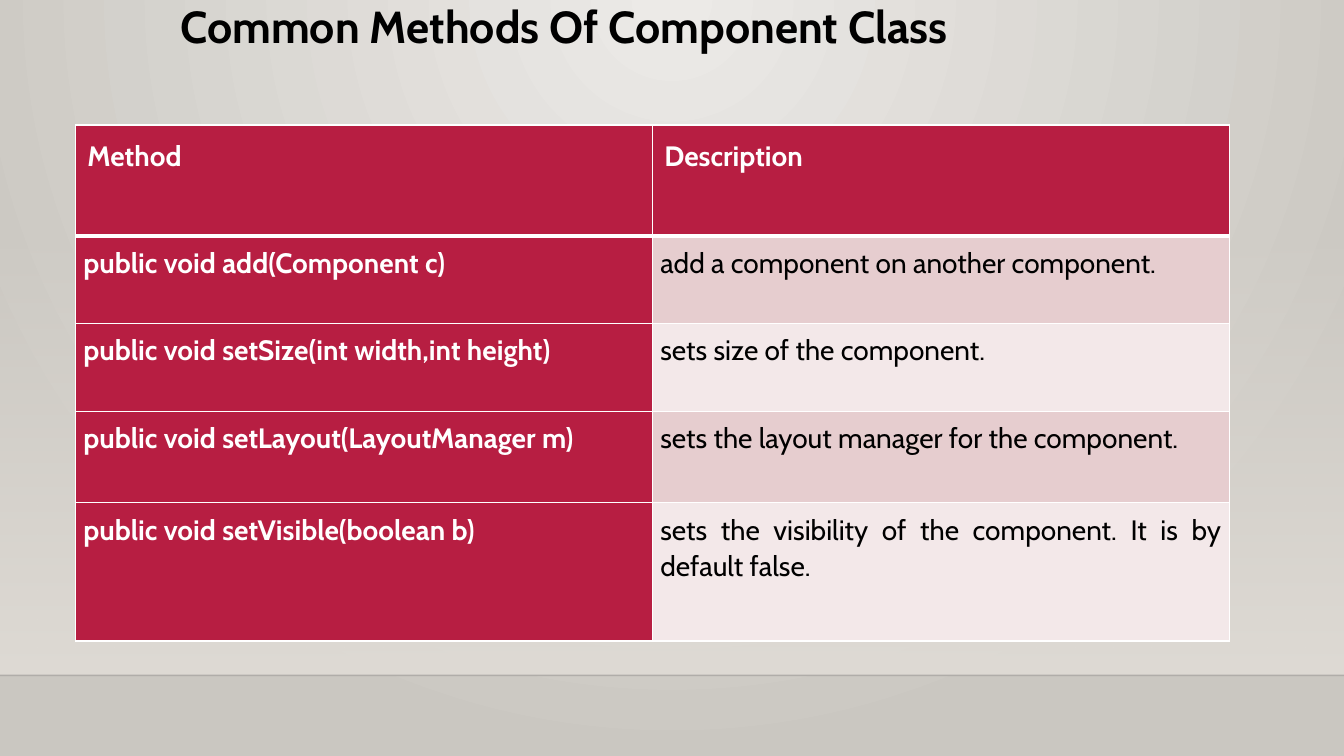
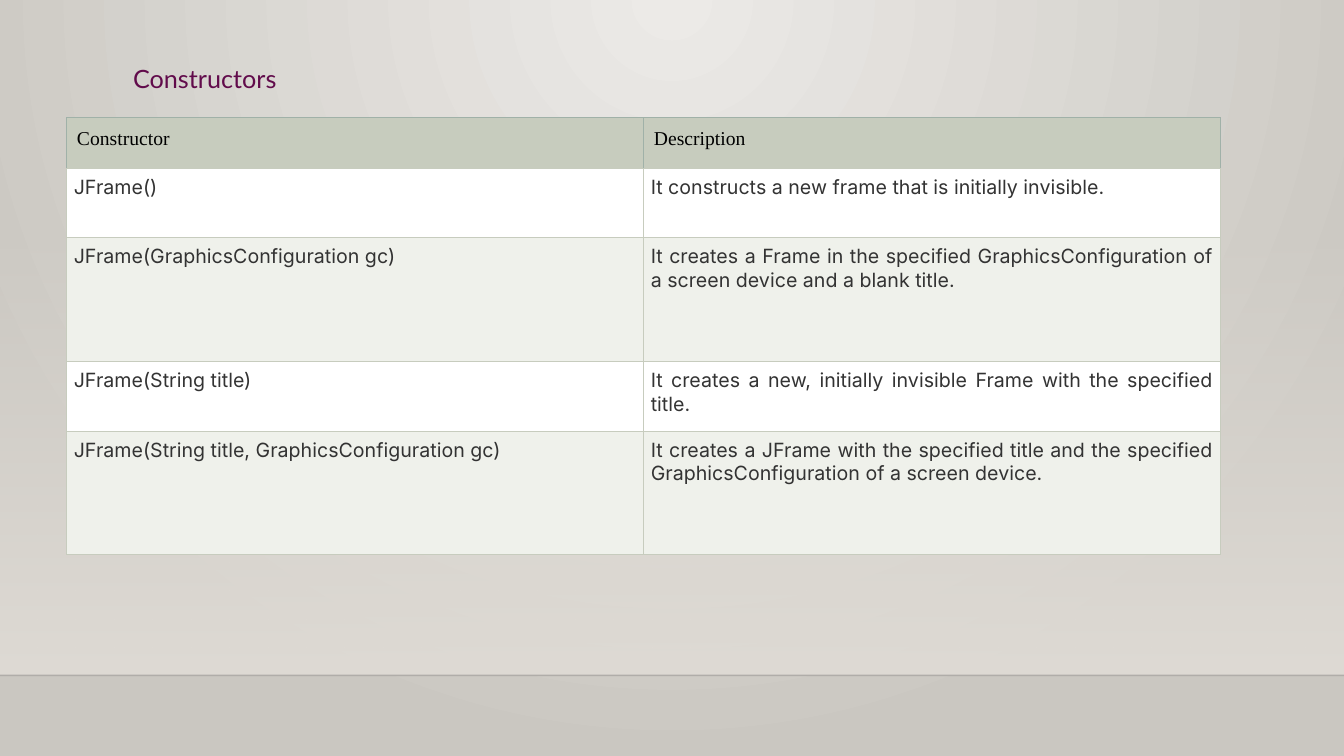
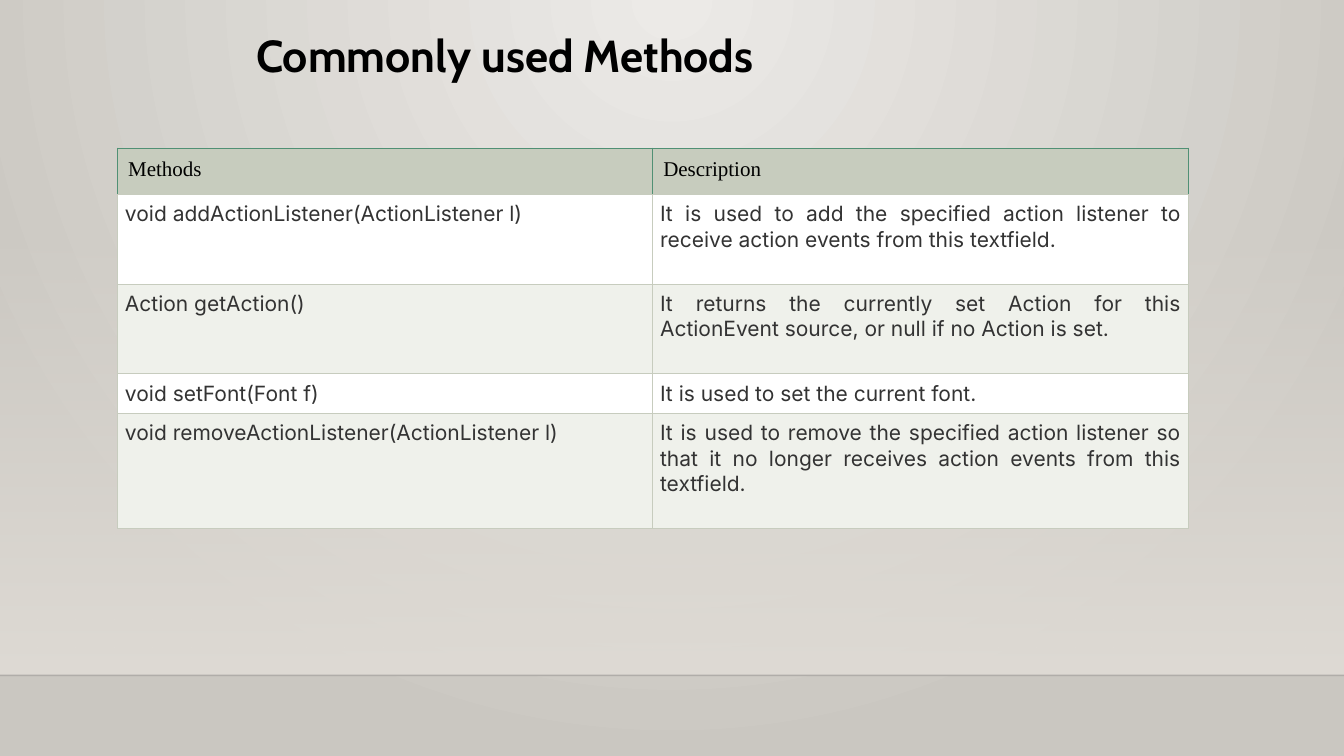
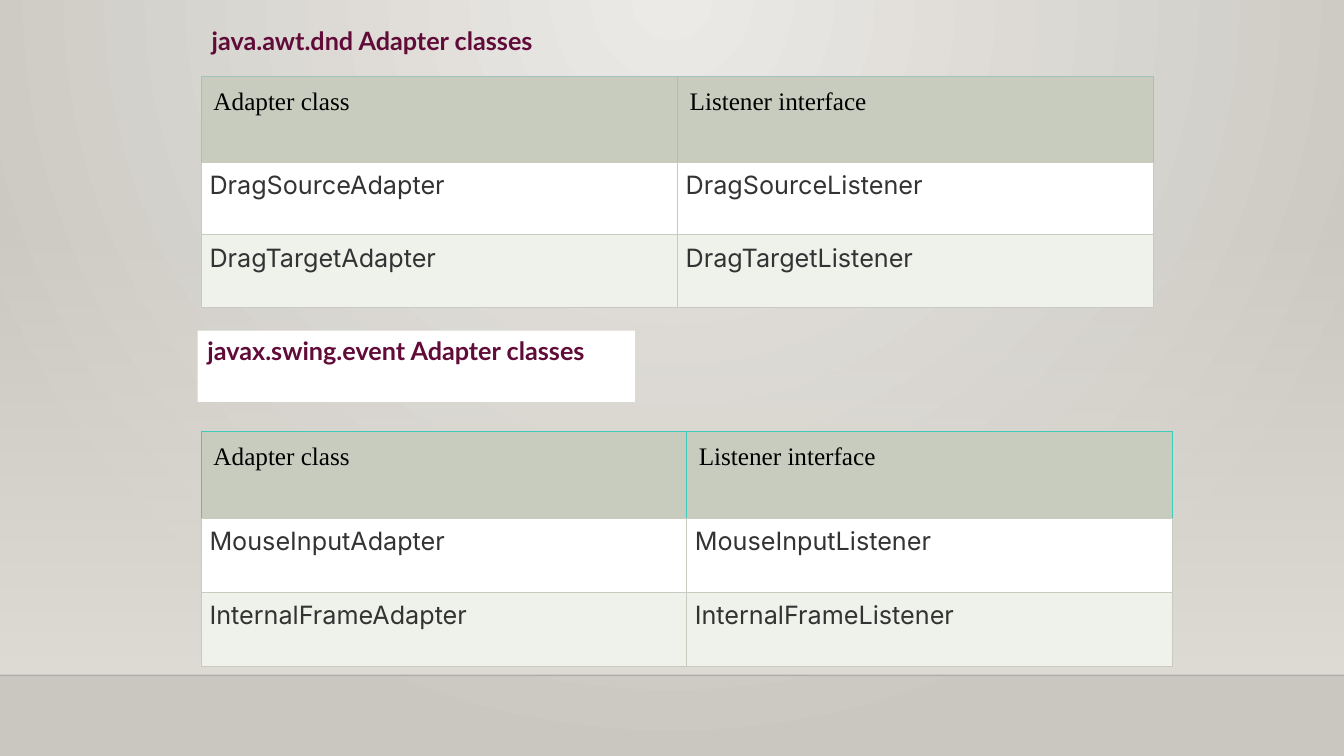
from lxml import etree
from pptx import Presentation
from pptx.dml.color import RGBColor
from pptx.enum import shapes, text
from pptx.oxml import ns
from pptx.util import Cm, Pt

BLACK, WHITE, INK = "000000", "FFFFFF", "333333"
CRIMSON, SAGE, PALE_SAGE = "B71E42", "C7CCBE", "EFF1EB"
PLUM, WINE = "610B4B", "610B38"
LEFT, JUSTIFY = text.PP_ALIGN.LEFT, text.PP_ALIGN.JUSTIFY


def rgb(value):
    """Turn a hex string into a colour."""
    return RGBColor.from_string(value)


def write(frame, content, font="Inter", size=18, color=INK, bold=False,
          align=LEFT, spacing=1.0):
    """Put one formatted paragraph at the top of a text frame."""
    frame.word_wrap = True
    frame.vertical_anchor = text.MSO_ANCHOR.TOP
    paragraph = frame.paragraphs[0]
    paragraph.alignment = align
    paragraph.line_spacing = spacing
    run = paragraph.add_run()
    run.text = content
    run.font.name = font
    run.font.size = Pt(size)
    run.font.bold = bold
    run.font.color.rgb = rgb(color)


# Table styles: header and body text, then fills and lines
crimson_style = dict(
    header=dict(font="Cabin", size=20, color=WHITE, bold=True, spacing=1.07),
    body=[dict(font="Cabin", size=20, color=WHITE, bold=True, align=JUSTIFY, spacing=1.07),
          dict(font="Cabin", size=20, color=BLACK, align=JUSTIFY, spacing=1.07)],
    header_fill=CRIMSON,
    row_fills=[(CRIMSON, "E6CDCF"), (CRIMSON, "F3E8E9")],
    line=(WHITE, 1), header_base=(WHITE, 3))
sage_style = dict(
    header=dict(font="Times New Roman", color=BLACK),
    body=[dict(align=JUSTIFY)] * 2,
    header_fill=SAGE,
    row_fills=[(WHITE, WHITE), (PALE_SAGE, PALE_SAGE)],
    line=(SAGE, 0.75), header_base=(SAGE, 0.75))

# Slide content; lengths are in centimetres
big_title = dict(font="Cabin", size=32, color=BLACK, bold=True)
pages = [
    dict(title="Common Methods Of Component Class", box=(4.29, 0, 26.67, 2.1),
         look=dict(big_title, spacing=0.9),
         tables=[dict(
             style=crimson_style, at=(1.9, 3.15), width=29.08, size=20,
             heights=[2.79, 2.21, 2.21, 2.31, 3.48], pads=(0.3, 0.2), header_line=(WHITE, 1),
             rows=[("Method", "Description"),
                   ("public void add(Component c)", "add a component on another component."),
                   ("public void setSize(int width,int height)", "sets size of the component."),
                   ("public void setLayout(LayoutManager m)",
                    "sets the layout manager for the component."),
                   ("public void setVisible(boolean b)",
                    "sets the visibility of the component. It is by default false.")])]),
    dict(title="Constructors", box=(3.1, 1.47, 9.68, 1.02),
         look=dict(font="Lato", color=PLUM),
         tables=[dict(
             style=sage_style, at=(1.68, 2.97), width=29.08, size=14,
             heights=[1.27, 1.75, 3.12, 1.75, 3.12], pads=(0.26, 0.18),
             header_line=("A0B1A8", 0.75),
             rows=[("Constructor", "Description"),
                   ("JFrame()", "It constructs a new frame that is initially invisible."),
                   ("JFrame(GraphicsConfiguration gc)",
                    "It creates a Frame in the specified GraphicsConfiguration of a screen "
                    "device and a blank title."),
                   ("JFrame(String title)",
                    "It creates a new, initially invisible Frame with the specified title."),
                   ("JFrame(String title, GraphicsConfiguration gc)",
                    "It creates a JFrame with the specified title and the specified "
                    "GraphicsConfiguration of a screen device.")])]),
    dict(title="Commonly used Methods", box=(6.2, 0.56, 14.12, 1.63), look=big_title,
         tables=[dict(
             style=sage_style, at=(2.97, 3.73), width=26.97, size=15,
             heights=[1.17, 2.26, 2.26, 0.99, 2.9], pads=(0.26, 0.18),
             header_line=("509074", 0.75),
             rows=[("Methods", "Description"),
                   ("void addActionListener(ActionListener l)",
                    "It is used to add the specified action listener to receive action "
                    "events from this textfield."),
                   ("Action getAction()",
                    "It returns the currently set Action for this ActionEvent source, or "
                    "null if no Action is set."),
                   ("void setFont(Font f)", "It is used to set the current font."),
                   ("void removeActionListener(ActionListener l)",
                    "It is used to remove the specified action listener so that it no "
                    "longer receives action events from this textfield.")])]),
    dict(title="java.awt.dnd Adapter classes", box=(5.08, 0.51, 13.56, 1.02),
         look=dict(font="Lato", color=WINE, bold=True),
         tables=[
             dict(style=sage_style, at=(5.08, 1.93), width=24, size=18,
                  heights=[2.16, 1.83, 1.83], pads=(0.3, 0.2), header_line=("A0C3BD", 0.75),
                  rows=[("Adapter class", "Listener interface"),
                        ("DragSourceAdapter", "DragSourceListener"),
                        ("DragTargetAdapter", "DragTargetListener")]),
             dict(style=sage_style, at=(5.08, 10.87), width=24.46, size=18,
                  heights=[2.2, 1.86, 1.86], pads=(0.3, 0.2), header_line=("40C9BD", 0.75),
                  rows=[("Adapter class", "Listener interface"),
                        ("MouseInputAdapter", "MouseInputListener"),
                        ("InternalFrameAdapter", "InternalFrameListener")])]),
]

deck = Presentation()
deck.slide_width, deck.slide_height = Cm(33.87), Cm(19.05)
title_only = deck.slide_layouts[5]
slides = [deck.slides.add_slide(title_only) for page in pages]

# Shared backdrop on the master: round glow, wall and floor line
master = deck.slide_master
glow = master.background.fill
glow.gradient()
for stop, color in zip(glow.gradient_stops, ("ECEAE7", "CAC7C1")):
    stop.color.rgb = rgb(color)
direction = master.element.xpath("./p:cSld/p:bg//a:lin")[0]
circle = etree.Element(ns.qn("a:path"), {"path": "circle"})
etree.SubElement(circle, ns.qn("a:fillToRect"), l="43000", t="0", r="43000", b="100000")
direction.getparent().replace(direction, circle)

wall = slides[0].shapes.add_shape(shapes.MSO_SHAPE.RECTANGLE, 0, Cm(5.61), Cm(33.87), Cm(11.41))
wall.shadow.inherit = False
wall.line.fill.background()
wall.fill.gradient()
wall.fill.gradient_angle = 270
for stop in wall.fill.gradient_stops:
    stop.color.rgb = rgb("DFDBD5")

floor = slides[0].shapes.add_connector(
    shapes.MSO_CONNECTOR.STRAIGHT, 0, Cm(17.02), Cm(33.87), Cm(17.02))
floor.line.color.rgb = rgb("000001")
floor.line.width = Pt(1)
etree.SubElement(floor.element.spPr, ns.qn("a:effectLst"))

for layer, (part, opacity) in enumerate([(wall, "0"), (floor, "20000")]):
    tint = part.element.xpath(".//p:spPr//a:srgbClr")[0]
    etree.SubElement(tint, ns.qn("a:alpha"), val=opacity)
    part.element.xpath(".//p:cNvPr")[0].set("id", str(20 + layer))
    master.shapes.element.insert(2 + layer, part.element)

for page, slide in zip(pages, slides):
    title = slide.shapes.title
    title.left, title.top, title.width, title.height = [Cm(length) for length in page["box"]]
    title.text_frame.auto_size = text.MSO_AUTO_SIZE.NONE
    write(title.text_frame, page["title"], **page["look"])

    for plan in page["tables"]:
        style, rows = plan["style"], plan["rows"]
        left, top = plan["at"]
        grid = slide.shapes.add_table(
            len(rows), 2, Cm(left), Cm(top), Cm(plan["width"]), Cm(sum(plan["heights"]))).table
        grid.first_row = grid.horz_banding = False
        for r, (labels, height) in enumerate(zip(rows, plan["heights"])):
            grid.rows[r].height = Cm(height)
            is_header = r == 0
            side = plan["header_line"] if is_header else style["line"]
            edges = {"a:lnL": side, "a:lnR": side,
                     "a:lnT": style["header_base"] if r == 1 else side,
                     "a:lnB": style["header_base"] if is_header else side}
            for c, label in enumerate(labels):
                cell = grid.cell(r, c)
                pad = Cm(plan["pads"][0 if is_header else 1])
                cell.margin_left = cell.margin_right = pad
                cell.margin_top = cell.margin_bottom = pad
                look = style["header"] if is_header else style["body"][c]
                write(cell.text_frame, label, **dict(look, size=plan["size"]))
                borders = cell._tc.get_or_add_tcPr()
                for tag, (color, width) in edges.items():
                    edge = etree.SubElement(borders, ns.qn(tag), w=str(Pt(width)))
                    paint = etree.SubElement(edge, ns.qn("a:solidFill"))
                    etree.SubElement(paint, ns.qn("a:srgbClr"), val=color)
                cell.fill.solid()
                cell.fill.fore_color.rgb = rgb(
                    style["header_fill"] if is_header else style["row_fills"][(r - 1) % 2][c])

# Second heading of the adapter slide, on a white plate
swing_heading = slides[-1].shapes.add_shape(
    shapes.MSO_SHAPE.RECTANGLE, Cm(4.98), Cm(8.33), Cm(11.02), Cm(1.8))
swing_heading.shadow.inherit = False
swing_heading.fill.solid()
swing_heading.fill.fore_color.rgb = rgb(WHITE)
swing_heading.line.fill.background()
write(swing_heading.text_frame, "javax.swing.event Adapter classes", **pages[-1]["look"])

deck.save("out.pptx")
